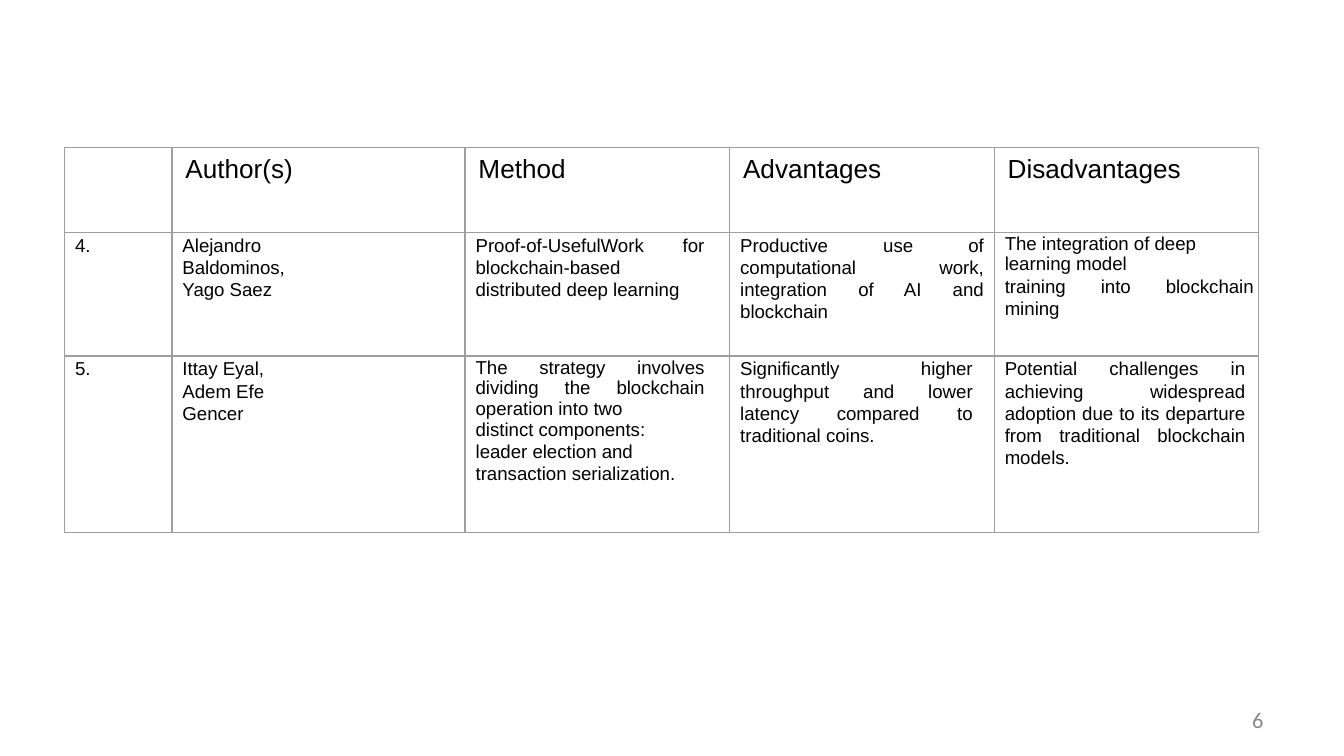
from pptx import Presentation
from pptx.dml.color import RGBColor
from pptx.enum.text import MSO_ANCHOR, PP_ALIGN
from pptx.util import Cm, Pt
from lxml.etree import fromstring

NS = "http://schemas.openxmlformats.org/drawingml/2006/main"
LEFT, JUST = PP_ALIGN.LEFT, PP_ALIGN.JUSTIFY


def color(value):
    return RGBColor.from_string(value)


def add_run(p, text, size, font, value):
    r = p.add_run()
    r.text = text
    r.font.size = Pt(size)
    r.font.name = font
    r.font.color.rgb = color(value)


headers = ["", "Author(s)", "Method", "Advantages", "Disadvantages"]
body = [
    [
        (0.1, [("4.", LEFT, 1.07)]),
        (0.1, [("Alejandro", LEFT, 1.07), ("Baldominos,", LEFT, 1.07), ("Yago Saez", LEFT, 1.07)]),
        (0.48, [("Proof-of-UsefulWork for blockchain-based distributed deep learning", JUST, 1.07)]),
        (0.2, [("Productive use of computational work, integration of AI and blockchain", JUST, 1.07)]),
        (0.1, [("The integration of deep learning model", LEFT, 0.99),
               ("training into blockchain mining", JUST, 1.07)]),
    ],
    [
        (0.1, [("5.", LEFT, 1.07)]),
        (0.1, [("Ittay Eyal,", LEFT, 1.07), ("Adem Efe", LEFT, 1.07), ("Gencer", LEFT, 1.07)]),
        (0.48, [("The strategy involves dividing the blockchain operation into two", JUST, 0.99),
                ("distinct components:", LEFT, 0.99),
                ("leader election and transaction serialization.", LEFT, 1.07)]),
        (0.41, [("Significantly higher throughput and lower latency compared to traditional coins.", JUST, 1.07)]),
        (0.26, [("Potential challenges in achieving widespread adoption due to its departure "
                 "from traditional blockchain models.", JUST, 1.07)]),
    ],
]
widths = [2.03, 5.54, 5, 5, 5]
heights = [1.6, 2.34, 3.33]

prs = Presentation()
prs.slide_width, prs.slide_height = Cm(25.4), Cm(14.29)
s = prs.slides.add_slide(prs.slide_layouts[6])

tf = s.shapes.add_textbox(Cm(18.21), Cm(13.23), Cm(5.92), Cm(0.76)).text_frame
tf.word_wrap = True
tf.vertical_anchor = MSO_ANCHOR.MIDDLE
p = tf.paragraphs[0]
p.alignment = PP_ALIGN.RIGHT
add_run(p, "6", 12, "Calibri", "888888")

table = s.shapes.add_table(3, 5, Cm(1.22), Cm(2.79), Cm(sum(widths)), Cm(sum(heights))).table
table.first_row = False
table.horz_banding = False
for column, width in zip(table.columns, widths):
    column.width = Cm(width)
for row, height in zip(table.rows, heights):
    row.height = Cm(height)

for cell in table.iter_cells():
    tcPr = cell._tc.get_or_add_tcPr()
    for side in "LRTB":
        tcPr.append(fromstring(
            f'<a:ln{side} xmlns:a="{NS}" w="9525"><a:solidFill><a:srgbClr val="9E9E9E"/>'
            f'</a:solidFill></a:ln{side}>'))
    cell.fill.background()

for i, text in enumerate(headers):
    if text:
        add_run(table.cell(0, i).text_frame.paragraphs[0], text, 14, "Arial", "000000")

for i, row in enumerate(body, 1):
    for j, (right, paragraphs) in enumerate(row):
        cell = table.cell(i, j)
        cell.margin_left, cell.margin_right = Cm(0.2), Cm(right)
        cell.margin_top, cell.margin_bottom = Cm(0.03), Cm(0)
        tf = cell.text_frame
        for k, (text, align, spacing) in enumerate(paragraphs):
            p = tf.add_paragraph() if k else tf.paragraphs[0]
            p.alignment = align
            p.line_spacing = spacing
            add_run(p, text, 10, "Arial", "000000")

prs.save("out.pptx")
